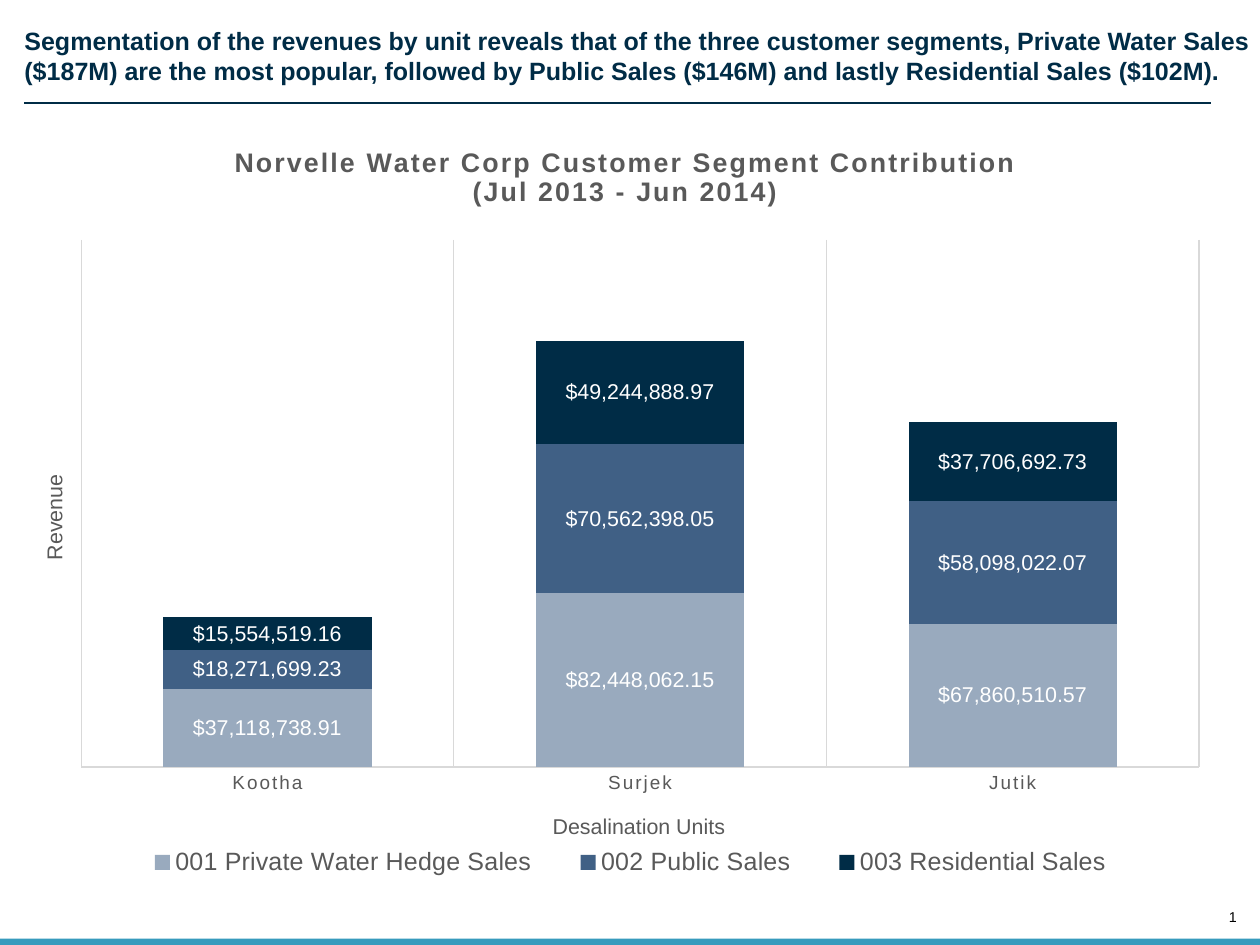
from lxml.etree import SubElement
from pptx import Presentation
from pptx.chart.data import CategoryChartData
from pptx.dml.color import RGBColor
from pptx.enum.chart import XL_CHART_TYPE, XL_LABEL_POSITION, XL_LEGEND_POSITION, XL_TICK_MARK
from pptx.enum.shapes import MSO_CONNECTOR, MSO_SHAPE
from pptx.enum.text import MSO_ANCHOR, PP_ALIGN
from pptx.oxml import parse_xml
from pptx.oxml.ns import nsdecls, qn
from pptx.util import Inches, Pt

NAVY, GREY, RULE = "002C46", "595959", "D9D9D9"
MONEY = '"$"#,##0.00;[Red]\\-"$"#,##0.00'


def write(tf, text, size=12, color=GREY, bold=False, align=None, spacing=0):
    """Fill a text frame, one paragraph per line; spacing is in 1/100 pt."""
    for i, line in enumerate(text.split("\n")):
        p = tf.paragraphs[0] if i == 0 else tf.add_paragraph()
        p.alignment = align
        r = p.add_run()
        r.text = line
        f = r.font
        f.name, f.size, f.bold = "Arial", Pt(size), bold
        f.color.rgb = RGBColor.from_string(color)
        if spacing:
            r._r.get_or_add_rPr().set("spc", str(spacing))


def place(el, after=None, inner=False, **shares):
    """Lay out a chart part by shares (x, y, w, h) of the chart's size."""
    for old in el.findall(qn("c:layout")):
        el.remove(old)
    layout = parse_xml(f"<c:layout {nsdecls('c')}><c:manualLayout/></c:layout>")
    values = {"layoutTarget": "inner"} if inner else {}
    values.update(xMode="edge", yMode="edge", **shares)
    for tag, val in values.items():
        SubElement(layout[0], qn(f"c:{tag}")).set("val", str(val))
    el.insert(0, layout) if after is None else el.find(qn(after)).addnext(layout)


prs = Presentation()
prs.slide_width, prs.slide_height = Inches(9.8), Inches(7.35)
s = prs.slides.add_slide(prs.slide_layouts[6])

# Headline, rule, footer band and page number
page = s.shapes.add_textbox(Inches(9.32), Inches(7.07), Inches(0.3), Inches(0.13))
headline = s.shapes.add_textbox(Inches(0.19), Inches(0.2), Inches(9.56), Inches(0.47))
for box in (page, headline):
    tf = box.text_frame
    tf.word_wrap = True
    tf.margin_left = tf.margin_right = tf.margin_top = tf.margin_bottom = 0
page.text_frame.vertical_anchor = MSO_ANCHOR.BOTTOM
write(page.text_frame, "1", size=8, color="000000", align=PP_ALIGN.RIGHT)
write(headline.text_frame,
      "Segmentation of the revenues by unit reveals that of the three customer segments, "
      "Private Water Sales ($187M) are the most popular, followed by Public Sales ($146M) "
      "and lastly Residential Sales ($102M).", size=14, color=NAVY, bold=True)

band = s.shapes.add_shape(MSO_SHAPE.RECTANGLE, 0, Inches(7.3), prs.slide_width, Inches(0.05))
band.shadow.inherit = False
band.fill.solid()
band.fill.fore_color.rgb = RGBColor.from_string("379BBD")
band.line.fill.background()

rule = s.shapes.add_connector(MSO_CONNECTOR.STRAIGHT, Inches(0.19), Inches(0.8),
                              Inches(9.42), Inches(0.8))
rule.line.color.rgb = RGBColor.from_string(NAVY)
rule.line.width = Pt(0.75)
SubElement(rule._element.spPr, qn("a:effectLst"))

# Stacked revenue chart
segments = [
    ("001 Private Water Hedge Sales", "99AABE", (37118738.91, 82448062.15, 67860510.57)),
    ("002 Public Sales", "406085", (18271699.23, 70562398.05, 58098022.07)),
    ("003 Residential Sales", NAVY, (15554519.16, 49244888.97, 37706692.73)),
]
data = CategoryChartData(number_format=MONEY)
data.categories = ["Kootha", "Surjek", "Jutik"]
for name, _, values in segments:
    data.add_series(name, values)
chart = s.shapes.add_chart(XL_CHART_TYPE.COLUMN_STACKED, Inches(0.29), Inches(0.92),
                           Inches(9.23), Inches(6.23), data).chart
chart.font.name, chart.font.size = "Arial", Pt(10)
place(chart._chartSpace.chart.plotArea, inner=True, x=0.037, y=0.152, w=0.942, h=0.658)

plot = chart.plots[0]
plot.gap_width, plot.overlap, plot.vary_by_categories = 79, 100, False
for series, (_, color, _) in zip(plot.series, segments):
    series.format.fill.solid()
    series.format.fill.fore_color.rgb = RGBColor.from_string(color)
    labels = series.data_labels
    labels.show_value = True
    labels.position = XL_LABEL_POSITION.CENTER
    labels.number_format, labels.number_format_is_linked = MONEY, False
    labels.font.name, labels.font.size = "Arial", Pt(12)
    labels.font.color.rgb = RGBColor.from_string("FFFFFF")

units, revenue = chart.category_axis, chart.value_axis
units.major_tick_mark = XL_TICK_MARK.NONE
units.has_major_gridlines = True
for line in (units.format.line, units.major_gridlines.format.line):
    line.color.rgb = RGBColor.from_string(RULE)
    line.width = Pt(0.75)
font = units.tick_labels.font
font.name, font.size = "Arial", Pt(10.6)
font.color.rgb = RGBColor.from_string(GREY)
font._rPr.set("spc", "120")
revenue.minimum_scale, revenue.maximum_scale = 0, 250000000
revenue.has_major_gridlines = False
revenue.visible = False

chart.has_title = True
write(chart.chart_title.text_frame,
      "Norvelle Water Corp Customer Segment Contribution\n(Jul 2013 - Jun 2014)",
      size=15, bold=True, align=PP_ALIGN.CENTER, spacing=120)
write(units.axis_title.text_frame, "Desalination Units")
write(revenue.axis_title.text_frame, "Revenue")
revenue.axis_title.text_frame._txBody.bodyPr.set("rot", "-5400000")
for title, x, y in ((chart.chart_title, 0.163, 0.029), (units.axis_title, 0.431, 0.863),
                    (revenue.axis_title, 0, 0.44)):
    place(title._element, after="c:tx", x=x, y=y)

chart.has_legend = True
legend = chart.legend
legend.position, legend.include_in_layout = XL_LEGEND_POSITION.BOTTOM, False
legend.font.name, legend.font.size = "Arial", Pt(14)
legend.font.color.rgb = RGBColor.from_string(GREY)
place(legend._element, after="c:legendPos", x=0.065, y=0.904, w=0.87, h=0.05)

prs.save("out.pptx")
